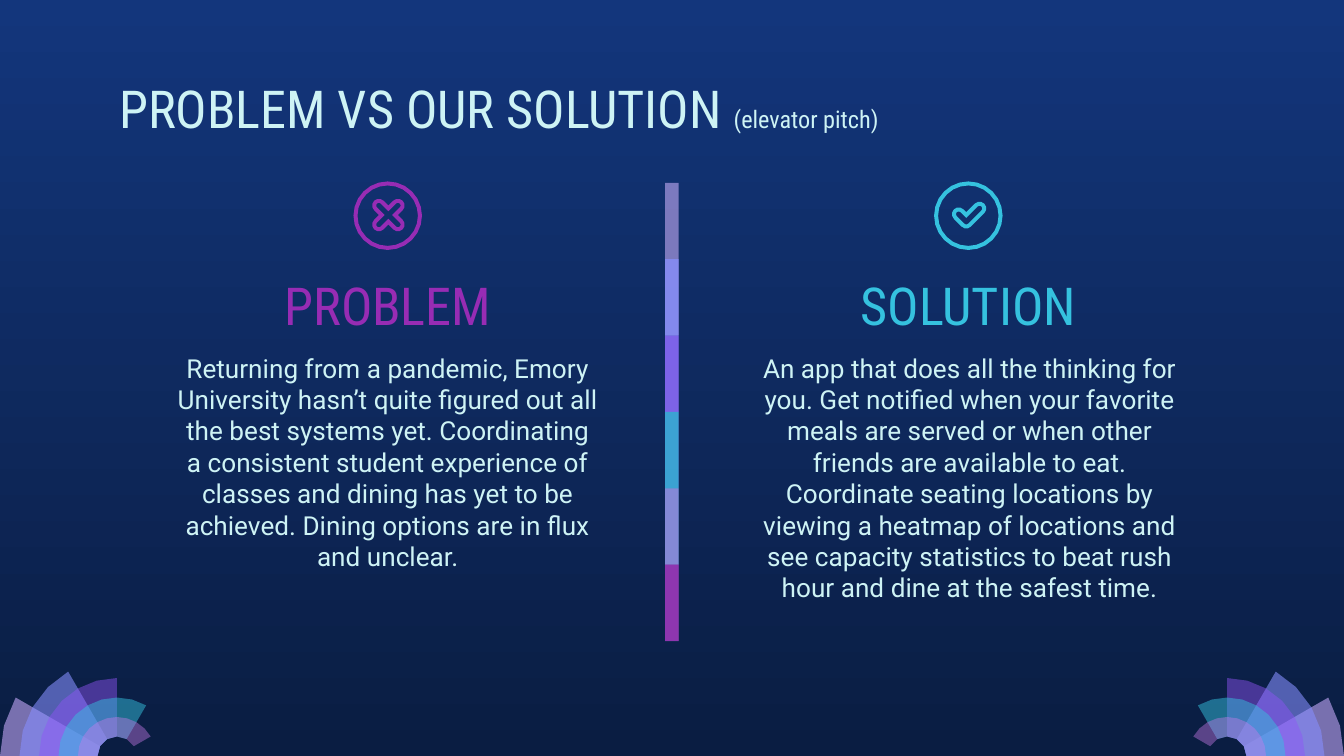
from dataclasses import dataclass
from math import ceil, cos, radians, sin, sqrt

from lxml.etree import SubElement
from pptx import Presentation
from pptx.dml.color import RGBColor as Rgb
from pptx.enum.shapes import MSO_SHAPE as Shape
from pptx.enum.text import MSO_ANCHOR as Anchor, PP_ALIGN as Align
from pptx.oxml.ns import qn
from pptx.util import Inches, Pt


@dataclass(frozen=True)
class Theme:
    sky: str = "13367C"
    night: str = "0A1D42"
    ice: str = "CEF3F5"
    lilac: str = "C8ACFD"
    mauve: str = "C8AEF8"
    periwinkle: str = "878FFF"
    violet: str = "9154F8"
    cyan: str = "35C2DF"
    orchid: str = "CA7BEB"
    purple: str = "972CB4"
    heading_font: str = "Roboto Condensed"
    body_font: str = "Roboto"
    heading_size: int = 28
    body_size: int = 14
    aside_size: int = 13


WIDTH, HEIGHT = 10, 10 * 9 / 16


def polar(centre, radius, angle):
    """Point at an angle in degrees, clockwise from the right."""
    return (centre[0] + radius * cos(radians(angle)),
            centre[1] + radius * sin(radians(angle)))


def arc(centre, radius, start, end, step=15):
    count = ceil(abs(end - start) / step)
    return [polar(centre, radius, start + (end - start) * i / count)
            for i in range(count + 1)]


def rounded_strokes(hub, arms, radius):
    """Outline of round-ended strokes leaving hub; arms are (angle, length)."""
    points = []
    for i, (angle, length) in enumerate(arms):
        points += arc(polar(hub, length, angle), radius, angle - 90, angle + 90, 30)
        gap = (arms[(i + 1) % len(arms)][0] - angle) % 360
        if gap > 180:
            points += arc(hub, radius, angle + 90, angle + gap - 90, 30)
        else:
            points.append(polar(hub, radius * sqrt(2), angle + gap / 2))
    return points


class PageBuilder:
    def __init__(self, deck, theme):
        self.theme = theme
        self.page = deck.slides.add_slide(deck.slide_layouts[6])

    def background(self, top, bottom):
        fill = self.page.background.fill
        fill.gradient()
        fill.gradient_angle = 270
        for stop, colour, position in zip(fill.gradient_stops, (top, bottom), (0, 1)):
            stop.color.rgb = Rgb.from_string(colour)
            stop.position = position

    def paint(self, shape, colour, opacity):
        shape.shadow.inherit = False
        shape.line.fill.background()
        shape.fill.solid()
        shape.fill.fore_color.rgb = Rgb.from_string(colour)
        if opacity < 100:
            tone = shape._element.spPr.find(".//" + qn("a:srgbClr"))
            SubElement(tone, qn("a:alpha")).set("val", str(opacity * 1000))

    def bar(self, left, top, width, height, colour, opacity):
        box = [Inches(n) for n in (left, top, width, height)]
        self.paint(self.page.shapes.add_shape(Shape.RECTANGLE, *box), colour, opacity)

    def outline(self, contours, colour, opacity=100):
        """One filled shape; contours after the first cut holes."""
        builder = None
        for contour in contours:
            (x, y), *rest = [(Inches(x), Inches(y)) for x, y in contour]
            if builder is None:
                builder = self.page.shapes.build_freeform(x, y, scale=1.0)
            else:
                builder.move_to(x, y)
            builder.add_line_segments(rest, close=True)
        self.paint(builder.convert_to_shape(), colour, opacity)

    def fan(self, centre_x, side):
        """Five overlapping petals; side is 1 for left, -1 for mirrored."""
        theme, ring = self.theme, 0.87 / 6
        petals = [(theme.lilac, 58), (theme.periwinkle, 58), (theme.violet, 46),
                  (theme.cyan, 49), (theme.orchid, 42)]
        start = 180 if side == 1 else 360
        centre = (centre_x, HEIGHT)
        for i, (colour, opacity) in enumerate(petals):
            end = start + side * 30 * (i + 1)
            petal = arc(centre, ring * (6 - i), start, end) + arc(centre, ring, end, start, 30)
            self.outline([petal], colour, opacity)

    def ring(self, left, top, size, colour):
        radius = size / 2
        centre = (left + radius, top + radius)
        # The closing segment supplies the last side of each circle.
        outer = arc(centre, radius, 0, 345)
        inner = arc(centre, radius - 0.03, 345, 0)
        self.outline([outer, inner], colour)

    def mark(self, hub, arms, colour):
        outer, inner = (rounded_strokes(hub, arms, radius) for radius in (0.05, 0.02))
        self.outline([outer, inner[::-1]], colour)

    def text(self, left, top, width, height, spans, align=Align.CENTER):
        """Spans are (words, font, size, colour)."""
        box = self.page.shapes.add_textbox(*[Inches(n) for n in (left, top, width, height)])
        frame = box.text_frame
        frame.word_wrap = True
        frame.vertical_anchor = Anchor.TOP
        frame.margin_left = frame.margin_right = Inches(0.1)
        frame.margin_top = frame.margin_bottom = Inches(0.1)
        para = frame.paragraphs[0]
        para.alignment = align
        for words, font, size, colour in spans:
            span = para.add_run()
            span.text = words
            span.font.name = font
            span.font.size = Pt(size)
            span.font.color.rgb = Rgb.from_string(colour)

    def heading(self, left, words, colour):
        self.text(left, 1.93, 2.35, 0.63,
                  [(words, self.theme.heading_font, self.theme.heading_size, colour)])

    def body(self, left, words):
        self.text(left, 2.52, 3.33, 2.16,
                  [(words, self.theme.body_font, self.theme.body_size, self.theme.ice)])


def main():
    deck = Presentation()
    deck.slide_width, deck.slide_height = Inches(WIDTH), Inches(HEIGHT)
    theme = Theme()
    builder = PageBuilder(deck, theme)
    builder.background(theme.sky, theme.night)
    builder.fan(0.87, 1)
    builder.fan(WIDTH - 0.87, -1)

    divider = [(theme.mauve, 59), (theme.periwinkle, 74), (theme.violet, 53),
               (theme.cyan, 76), (theme.orchid, 56), (theme.purple, 74)]
    step = (4.77 - 1.36) / len(divider)
    for i, (colour, opacity) in enumerate(divider):
        is_last = i == len(divider) - 1
        builder.bar(4.95, 1.36 + step * i, 0.1, step if is_last else 2 * step, colour, opacity)

    builder.heading(6.03, "SOLUTION", theme.cyan)
    builder.body(
        5.55,
        "An app that does all the thinking for you. Get notified when your favorite meals are "
        "served or when other friends are available to eat. Coordinate seating locations by "
        "viewing a heatmap of locations and see capacity statistics to beat rush hour and dine "
        "at the safest time.")
    builder.body(
        1.22,
        "Returning from a pandemic, Emory University hasn’t quite figured out all the best "
        "systems yet. Coordinating a consistent student experience of classes and dining has "
        "yet to be achieved. Dining options are in flux and unclear.")
    builder.heading(1.71, "PROBLEM", theme.purple)
    builder.text(0.79, 0.47, 8.43, 0.63, [
        ("PROBLEM VS OUR SOLUTION ", theme.heading_font, theme.heading_size, theme.ice),
        ("(elevator pitch)", theme.heading_font, theme.aside_size, theme.ice),
    ], Align.LEFT)

    builder.ring(6.95, 1.35, 0.51, theme.cyan)
    builder.mark((7.19, 1.65), [(225, 0.08), (315, 0.14)], theme.cyan)
    builder.ring(2.63, 1.35, 0.51, theme.purple)
    builder.mark((2.89, 1.6), [(angle, 0.1) for angle in (45, 135, 225, 315)], theme.purple)
    deck.save("out.pptx")


if __name__ == "__main__":
    main()
